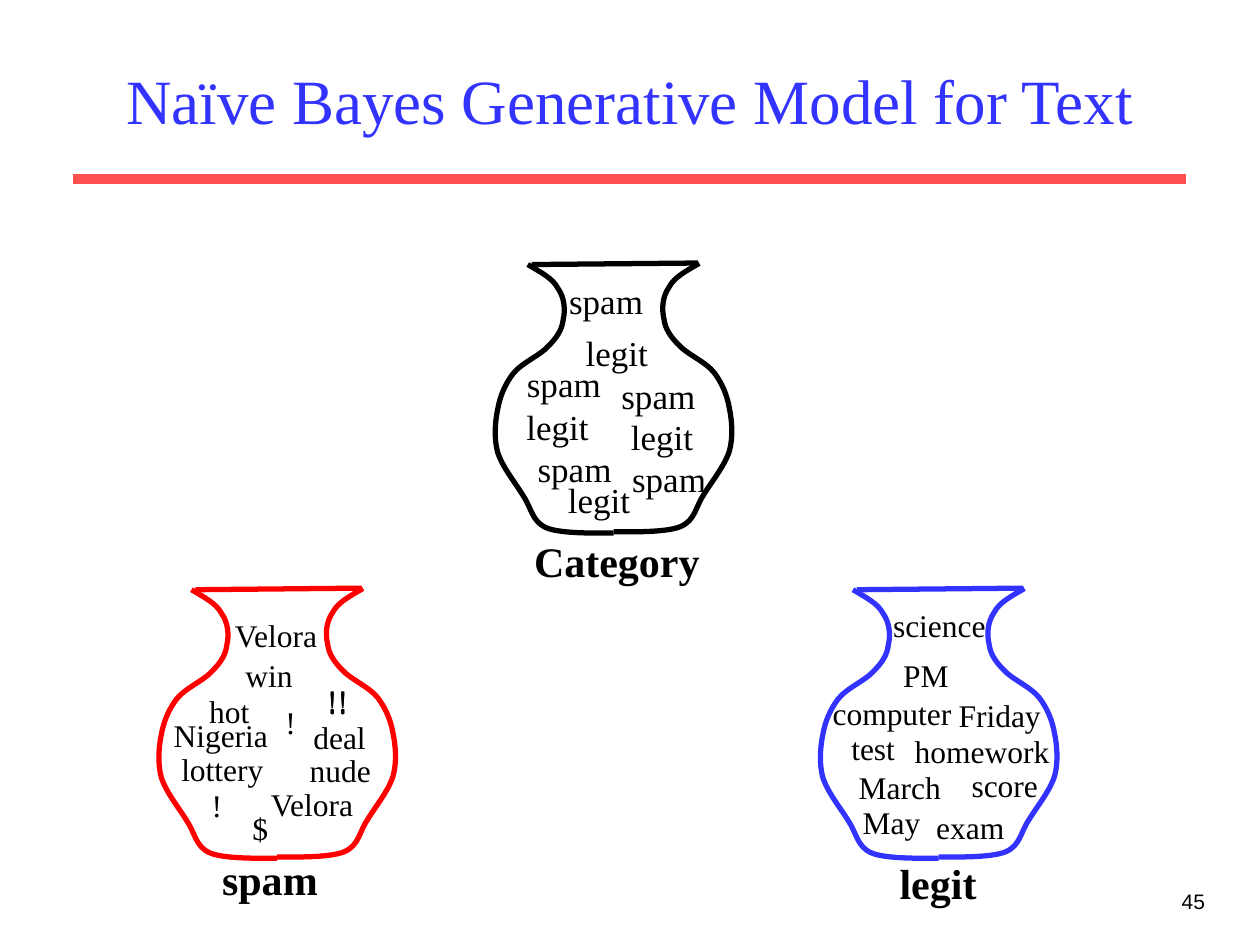
from dataclasses import dataclass

from lxml.etree import SubElement
from pptx import Presentation
from pptx.dml.color import RGBColor as RGB
from pptx.enum.shapes import MSO_CONNECTOR as Connector
from pptx.enum.text import MSO_ANCHOR as Anchor, MSO_AUTO_SIZE as AutoSize, PP_ALIGN as Align
from pptx.oxml.ns import qn
from pptx.util import Pt


@dataclass(frozen=True)
class Theme:
    black: RGB = RGB(0, 0, 0)
    blue: RGB = RGB(0x33, 0x33, 0xFF)
    red: RGB = RGB(0xFF, 0, 0)
    coral: RGB = RGB(0xFF, 0x50, 0x50)
    serif: str = "Times New Roman"
    sans: str = "Arial"
    title_size: int = 36
    label_size: int = 24
    category_size: int = 20
    word_size: int = 18
    number_size: int = 12
    outline: int = 3
    rule: int = 6
    slack: int = 1


VASE_HALF_WIDTH = 68.4
VASE_PROFILE = [
    (19.4, 0),
    (26.6, 4.3), (33.8, 7.9), (36.7, 13.7),
    (40.3, 18.7), (41, 25.9), (39.6, 31.7),
    (38.9, 37.4), (36, 41.8), (31, 46.8),
    (26.6, 51.8), (15.8, 56.2), (10.8, 62.6),
    (6.5, 68.4), (3.6, 74.9), (2.2, 82.8),
    (0.7, 90), (0, 99.4), (2.2, 107.3),
    (5, 115.9), (12.2, 124.6), (16.6, 131.8),
    (21.6, 139), (21.6, 146.9), (30.2, 150.5),
    (38.9, 154.1), (61.9, 153.4), (VASE_HALF_WIDTH, 153.4),
]

CATEGORY_WIDTHS = {"spam": 56.9, "legit": 49.7}
CATEGORY_WORDS = [
    ("spam", 317.9, 156.2), ("legit", 327.6, 185.8), ("spam", 293.8, 203.8),
    ("spam", 347.8, 210.2), ("legit", 293.8, 228.2), ("legit", 353.5, 234),
    ("spam", 299.9, 252), ("spam", 353.9, 257.8), ("legit", 317.5, 270),
]
SPAM_WORDS = [
    ("Velora", 126, 348.5, 63.4), ("win", 133.2, 371.5, 41),
    ("!!", 180, 385.9, 25.9), ("!!", 180, 386.6, 25.9),
    ("hot", 112.3, 391.7, 37.4), ("!", 156, 398.2, 20.2),
    ("Nigeria", 92, 405.9, 68.4), ("deal", 172.1, 406.8, 43.9),
    ("lottery", 96.5, 424.8, 61.2), ("nude", 169.9, 425.5, 49),
    ("Velora", 146.6, 445, 63.4), ("!", 113.8, 445.9, 20.2),
    ("$", 137.3, 458.6, 23),
]
LEGIT_WORDS = [
    ("science", 503.3, 342.7, 67), ("PM", 509, 371.5, 40.3),
    ("computer", 468.7, 393.3, 82.1), ("Friday", 540.7, 394.4, 61.2),
    ("test", 479.5, 413.3, 38.9), ("homework", 515.5, 414.7, 91.4),
    ("March", 483.6, 435.1, 61.2), ("score", 547.9, 434.4, 52.6),
    ("May", 485.7, 455.3, 47.5), ("exam", 527.8, 458.1, 53.3),
]


class SlideBuilder:
    def __init__(self, slide, theme):
        self.slide = slide
        self.theme = theme

    def style(self, paragraph, size, color, font, align, bold=False):
        paragraph.alignment = align
        paragraph.font.size = Pt(size)
        paragraph.font.name = font
        paragraph.font.bold = bold
        paragraph.font.color.rgb = color

    def title(self, text, left, top, width, height):
        title = self.slide.shapes.title
        title.left, title.top, title.width, title.height = map(Pt, (left, top, width, height))
        frame = title.text_frame
        frame.text = text
        frame.auto_size = AutoSize.NONE
        frame.vertical_anchor = Anchor.MIDDLE
        self.style(frame.paragraphs[0], self.theme.title_size, self.theme.blue,
                   self.theme.serif, Align.CENTER)

    def line(self, x1, y1, x2, y2, color, weight):
        line = self.slide.shapes.add_connector(Connector.STRAIGHT, *map(Pt, (x1, y1, x2, y2)))
        line.line.color.rgb = color
        line.line.width = Pt(weight)
        SubElement(line._element.spPr, qn("a:effectLst"))

    def word(self, text, left, top, width, size, bold=False):
        slack = self.theme.slack
        height = 1.2 * size + 7.2
        box = self.slide.shapes.add_textbox(
            *map(Pt, (left - slack, top, width + 2 * slack, height)))
        frame = box.text_frame
        frame.text = text
        frame.word_wrap = False
        frame.auto_size = AutoSize.SHAPE_TO_FIT_TEXT
        self.style(frame.paragraphs[0], size, self.theme.black, self.theme.serif,
                   Align.CENTER, bold)

    def page_number(self, text, left, top, width, height):
        box = self.slide.shapes.add_textbox(*map(Pt, (left, top, width, height)))
        frame = box.text_frame
        frame.text = text
        frame.word_wrap = True
        self.style(frame.paragraphs[0], self.theme.number_size, self.theme.black,
                   self.theme.sans, Align.RIGHT)

    def curve(self, points, color):
        start, *rest = [(Pt(x), Pt(y)) for x, y in points]
        builder = self.slide.shapes.build_freeform(*start)
        builder.add_line_segments(rest, close=False)
        side = builder.convert_to_shape()
        side.shadow.inherit = False
        side.fill.background()
        side.line.color.rgb = color
        side.line.width = Pt(self.theme.outline)
        outline = next(side._element.iter(qn("a:path")))
        segments = outline.findall(qn("a:lnTo"))
        for i in range(0, len(segments), 3):
            bezier = SubElement(outline, qn("a:cubicBezTo"))
            for segment in segments[i:i + 3]:
                bezier.append(segment[0])
                outline.remove(segment)

    def vase(self, left, top, color):
        self.curve([(left + x, top + y) for x, y in VASE_PROFILE], color)
        right = left + 2 * VASE_HALF_WIDTH
        self.curve([(right - x, top - 0.7 + y) for x, y in VASE_PROFILE], color)
        self.line(left + 21.6, top, left + 116.6, top - 0.9, color, self.theme.outline)


def main():
    theme = Theme()
    deck = Presentation()
    deck.slide_width, deck.slide_height = Pt(720), Pt(540)
    page = SlideBuilder(deck.slides.add_slide(deck.slide_layouts[5]), theme)

    page.title("Naïve Bayes Generative Model for Text", 54, 18, 612, 78)
    page.line(42, 102.2, 678, 102.2, theme.coral, theme.rule)

    for left, top, color in [(282.2, 151.2, theme.black), (90, 337, theme.red),
                             (468, 337, theme.blue)]:
        page.vase(left, top, color)

    for text, left, top in CATEGORY_WORDS:
        page.word(text, left, top, CATEGORY_WIDTHS[text], theme.category_size)
    for text, left, top, width in SPAM_WORDS + LEGIT_WORDS:
        page.word(text, left, top, width, theme.word_size)
    for text, left, top, width in [("Category", 298.1, 302.4, 108.7),
                                   ("spam", 119.7, 484, 69.1),
                                   ("legit", 506.9, 486.7, 58.3)]:
        page.word(text, left, top, width, theme.label_size, bold=True)

    page.page_number("45", 545.8, 504, 149.8, 36)
    deck.save("out.pptx")


if __name__ == "__main__":
    main()
